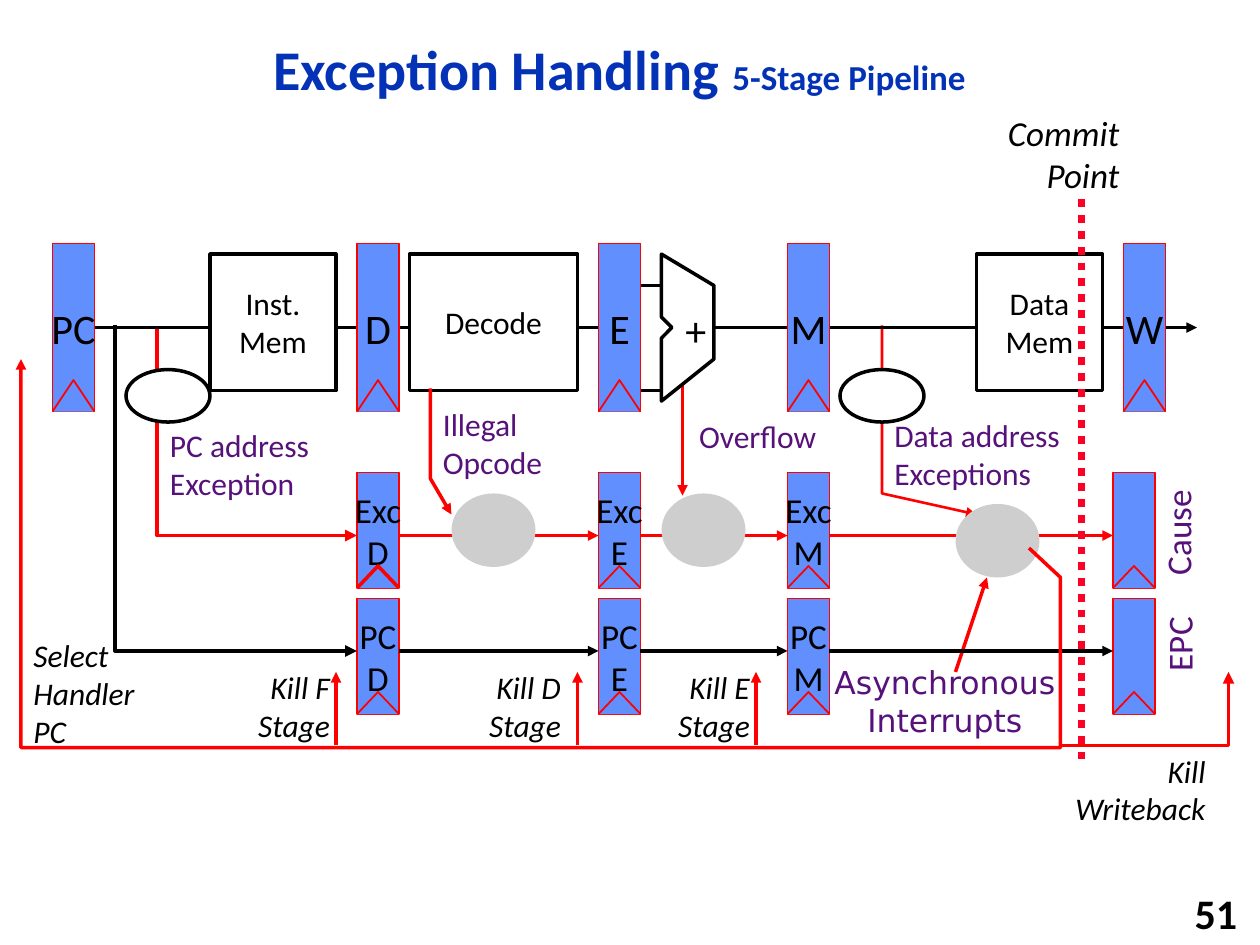
from lxml import etree
from pptx import Presentation
from pptx.dml.color import RGBColor
from pptx.enum.dml import MSO_LINE
from pptx.enum.shapes import MSO_CONNECTOR, MSO_SHAPE
from pptx.enum.text import MSO_ANCHOR, PP_ALIGN
from pptx.oxml.ns import qn
from pptx.util import Inches, Pt

RECT, OVAL = MSO_SHAPE.RECTANGLE, MSO_SHAPE.OVAL
STRAIGHT = MSO_CONNECTOR.STRAIGHT
DOTS = MSO_LINE.ROUND_DOT
TOP, MIDDLE = MSO_ANCHOR.TOP, MSO_ANCHOR.MIDDLE
LEFT, CENTER, RIGHT = PP_ALIGN.LEFT, PP_ALIGN.CENTER, PP_ALIGN.RIGHT
BLACK = RGBColor(0x00, 0x00, 0x00)
WHITE = RGBColor(0xFF, 0xFF, 0xFF)
RED = RGBColor(0xFF, 0x00, 0x00)
CRIMSON = RGBColor(0xFC, 0x01, 0x28)
BLUE = RGBColor(0x61, 0x8F, 0xFD)
NAVY = RGBColor(0x03, 0x32, 0xB7)
PURPLE = RGBColor(0x56, 0x12, 0x7A)
GREY = RGBColor(0xCE, 0xCE, 0xCE)

prs = Presentation()
prs.slide_width, prs.slide_height = Inches(10), Inches(7.5)
slide = prs.slides.add_slide(prs.slide_layouts[6])
shapes = slide.shapes

# Grid of 120 columns by 90 rows; all lengths below are in cells
CELL = prs.slide_width // 120


def draw_path(points, color, width=2, arrow=False, fill=None, close=False):
    """Connector for two points, freeform for more."""
    spots = [(round(x * CELL), round(y * CELL)) for x, y in points]
    if len(spots) == 2:
        path = shapes.add_connector(STRAIGHT, *spots[0], *spots[1])
    else:
        builder = shapes.build_freeform(*spots[0])
        builder.add_line_segments(spots[1:], close=close)
        path = builder.convert_to_shape()
        path.shadow.inherit = False
        if fill is None:
            path.fill.background()
        else:
            path.fill.solid()
            path.fill.fore_color.rgb = fill
    path.line.color.rgb = color
    path.line.width = Pt(width)
    props = path.element.spPr
    if arrow:
        etree.SubElement(props.find(qn("a:ln")), qn("a:tailEnd"), type="triangle")
    if len(spots) == 2:
        etree.SubElement(props, qn("a:effectLst"))
    return path


def add_block(box, text="", size=18, kind=None, fill=None, line=None, width=2,
              color=BLACK, align=CENTER, anchor=MIDDLE, wrap=True, italic=False,
              bold=False, font="Calibri"):
    """Preset shape, or a text box when no kind is given."""
    place = [round(v * CELL) for v in box]
    if kind is None:
        block = shapes.add_textbox(*place)
    else:
        block = shapes.add_shape(kind, *place)
        block.shadow.inherit = False
        block.fill.solid()
        block.fill.fore_color.rgb = fill
        if line is None:
            block.line.fill.background()
        else:
            block.line.color.rgb = line
            block.line.width = Pt(width)
    frame = block.text_frame
    frame.word_wrap, frame.vertical_anchor = wrap, anchor
    if text:
        frame.text = text
    for paragraph in frame.paragraphs:
        paragraph.alignment = align
        for run in paragraph.runs:
            run.font.name, run.font.size = font, Pt(size)
            run.font.bold, run.font.italic = bold, italic
            run.font.color.rgb = color
    return block


# Title and page number
title = add_block((11, 2, 96, 9.7), "Exception Handling \n5-Stage Pipeline".replace("\n", ""),
                  32, color=NAVY, bold=True)
heading = title.text_frame.paragraphs[0]
heading.line_spacing = 0.9
heading.runs[0].text = "Exception Handling "
subtitle = heading.add_run()
subtitle.text = "5-Stage Pipeline"
subtitle.font.name, subtitle.font.size, subtitle.font.bold = "Calibri", Pt(20), True
subtitle.font.color.rgb = NAVY
add_block((94, 85, 25, 3.8), "51", 24, align=RIGHT, wrap=False, bold=True)

# Wires that run behind the stages
AXIS = 31.2
draw_path([(84, 31), (84, 47), (93, 49)], RED, 1.5, arrow=True)
draw_path([(15, 31), (15, 51), (34, 51)], RED, 2.25, arrow=True)
draw_path([(65, 36), (65, 47.2)], RED, arrow=True)
draw_path([(68, AXIS), (114, AXIS)], BLACK, arrow=True)
fetch_wire = draw_path([(7, AXIS), (57, AXIS)], BLACK)

# Pipeline stages
for left, width, name in ((20, 12, "Inst. Mem"), (39, 16, "Decode"), (93, 12, "Data Mem")):
    add_block((left, AXIS - 7, width, 13), name, kind=RECT, fill=WHITE, line=BLACK)
draw_path([(63, 24.2), (63, 30.2), (64, AXIS), (63, 32.2), (63, 38.2), (68, 34.2), (68, 27.2)],
          BLACK, fill=WHITE, close=True)
for row in (27.2, 37.2):
    draw_path([(61, row), (63, row)], BLACK)
add_block((64.1, 29.2, 3.7, 4.4), "+", 24, wrap=False)

# Registers: column, top, height, clock mark height, label, text size
registers = [(col, AXIS - 8, 16, 3, name, 24)
             for col, name in ((5, "PC"), (34, "D"), (57, "E"), (75, "M"), (107, "W"))]
for top, prefix in ((45, "Exc"), (57, "PC")):
    registers += [(col, top, 11, 2.1, f"{prefix}\n{stage}", 20)
                  for col, stage in ((34, "D"), (57, "E"), (75, "M"))]
    registers.append((106, top, 11, 2.1, "", 20))
for col, top, height, mark, name, size in registers:
    register = add_block((col, top, 4, height), name, size, RECT, BLUE, RED, 1, wrap=False)
    bottom = top + height
    draw_path([(col, bottom), (col + 2, bottom - mark), (col + 4, bottom)], RED,
              2 if name == "Exc\nD" else 1, fill=BLUE)
    if name == "E":
        fetch_wire.end_connect(register, 1)

# Address checks
for col in (12, 80):
    add_block((col, 35.2, 8, 5), kind=OVAL, fill=WHITE, line=BLACK)

# Exception sources
for box, text in (((41, 38, 16, 8.4), "Illegal Opcode"),
                  ((84, 39, 24, 8.4), "Data address Exceptions"),
                  ((15, 40, 21, 8.4), "PC address Exception")):
    add_block(box, text, color=PURPLE, align=LEFT)
add_block((65.3, 39.1, 13.7, 4.8), "Overflow", color=PURPLE, wrap=False)
add_block((78, 62.6, 24, 8.4), "Asynchronous\nInterrupts", color=PURPLE, anchor=TOP,
          font="DejaVu Sans")
draw_path([(41, 37), (41, 45.6), (43, 49)], RED, arrow=True)
draw_path([(91, 64), (94, 55)], RED, arrow=True)

# Exception and PC chains between registers
for row, color in ((51, RED), (62, BLACK)):
    for start, end in ((38, 57), (61, 75), (79, 106)):
        draw_path([(start, row), (end, row)], color, arrow=True)
draw_path([(11, 31), (11, 62), (34, 62)], BLACK, 2.25, arrow=True)

# Commit point
commit_line = draw_path([(103, 19), (103, 73)], CRIMSON, 4.5)
commit_line.line.dash_style = DOTS
add_block((91, 10, 16.8, 9.2), "Commit Point", 20, align=RIGHT, anchor=TOP, italic=True)

# Exception merge points
for col, row in ((43, 47), (63, 47), (91, 48)):
    add_block((col, row, 8, 7), kind=OVAL, fill=GREY)

# Upright register names
for box, text in (((105.5, 48.1, 13.4, 5.3), "Cause"), ((108.5, 58.7, 7.6, 5.3), "EPC")):
    add_block(box, text, 20, color=PURPLE, anchor=TOP, wrap=text == "Cause").rotation = 270

# Handler selection and kill signals
draw_path([(98, 52.2), (101, 55), (101, 71.2), (2, 71.2), (2, 34.2)], RED, arrow=True)
for col, left, stage in ((55, 42, "D"), (32, 20, "F"), (72, 60, "E")):
    draw_path([(col, 71), (col, 64)], RED, arrow=True)
    add_block((left, 63, 12.6, 8.5), f"Kill {stage} Stage", align=RIGHT, anchor=TOP, italic=True)
add_block((2, 60, 14.6, 12.1), "Select Handler PC", align=LEFT, anchor=TOP, italic=True)
add_block((101, 71, 15, 8.5), "Kill Writeback", align=RIGHT, anchor=TOP, italic=True)
draw_path([(101, 71), (117, 71), (117, 64)], RED, 2.25, arrow=True)

prs.save("out.pptx")
